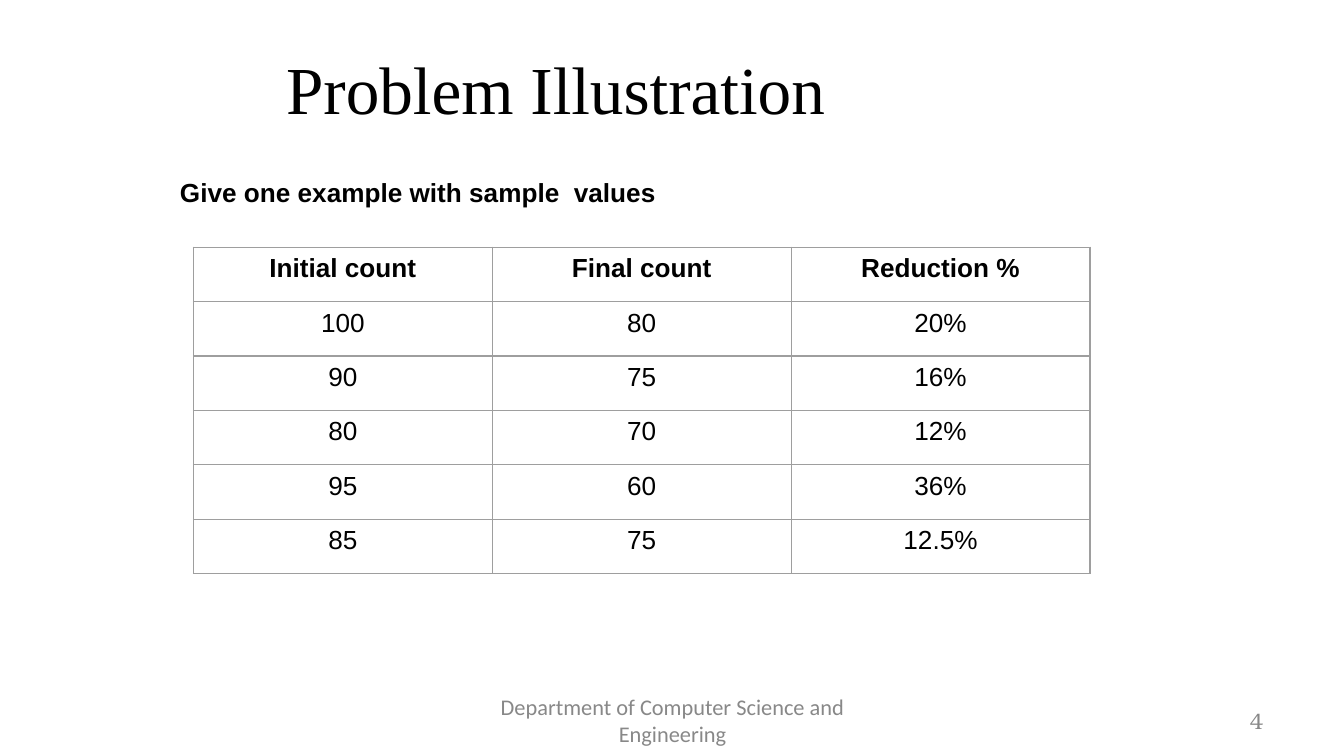
from lxml.etree import SubElement
from pptx import Presentation
from pptx.dml.color import RGBColor
from pptx.enum.text import MSO_ANCHOR as ANCHOR, PP_ALIGN as ALIGN
from pptx.oxml.ns import qn
from pptx.util import Inches, Pt

# Content
TITLE = "Problem Illustration"
LEAD = "Give one example with sample  values"
FOOTER = "Department of Computer Science and Engineering"
PAGE = "4"
ROWS = [
    ("Initial count", "Final count", "Reduction %"),
    ("100", "80", "20%"),
    ("90", "75", "16%"),
    ("80", "70", "12%"),
    ("95", "60", "36%"),
    ("85", "75", "12.5%"),
]
BLACK, GREY, BORDER = "000000", "888888", "9E9E9E"


def color(value):
    return RGBColor.from_string(value)


def write(tf, text, size, font, fill=BLACK, bold=False, align=ALIGN.LEFT):
    p = tf.paragraphs[0]
    p.alignment = align
    r = p.add_run()
    r.text = text
    r.font.size, r.font.name, r.font.bold = Pt(size), font, bold
    r.font.color.rgb = color(fill)


def place(sp, left, top, width, height, anchor=ANCHOR.MIDDLE):
    sp.left, sp.top = Inches(left), Inches(top)
    sp.width, sp.height = Inches(width), Inches(height)
    sp.text_frame.word_wrap = True
    sp.text_frame.vertical_anchor = anchor
    return sp.text_frame


def add_text(box, *args, anchor=ANCHOR.MIDDLE, **kwargs):
    tf = place(s.shapes.add_textbox(0, 0, 0, 0), *box, anchor=anchor)
    write(tf, *args, **kwargs)


def add_borders(cell):
    tc_pr = cell._tc.get_or_add_tcPr()
    for i, side in enumerate(("lnL", "lnR", "lnT", "lnB")):
        ln = SubElement(tc_pr, qn(f"a:{side}"), w=str(Pt(0.75)))
        fill = SubElement(ln, qn("a:solidFill"))
        SubElement(fill, qn("a:srgbClr"), val=BORDER)
        tc_pr.insert(i, ln)


# Widescreen 16:9 slide
prs = Presentation()
prs.slide_width = Inches(10)
prs.slide_height = prs.slide_width * 9 // 16
s = prs.slides.add_slide(prs.slide_layouts[5])

# Title and lead line
tf = place(s.shapes.title, 0.79, 0.31, 6.69, 0.69)
write(tf, TITLE, 36, "Times New Roman", align=ALIGN.CENTER)
add_text((1.24, 1.26, 7.32, 0.57), LEAD, 14, "Arial", bold=True, anchor=ANCHOR.TOP)

# Table of sample values
frame = s.shapes.add_table(len(ROWS), len(ROWS[0]), Inches(1.44), Inches(1.84),
                           Inches(6.67), Inches(2.43))
table = frame.table
table.first_row = table.horz_banding = False
for i, row in enumerate(ROWS):
    for j, text in enumerate(row):
        cell = table.cell(i, j)
        cell.fill.background()
        add_borders(cell)
        write(cell.text_frame, text, 14, "Arial", bold=i == 0, align=ALIGN.CENTER)

# Footer and page number
add_text((3.42, 5.21, 3.17, 0.3), FOOTER, 12, "Calibri", GREY, align=ALIGN.CENTER)
add_text((7.17, 5.21, 2.33, 0.3), PAGE, 12, "TeX Gyre Bonum", GREY, align=ALIGN.RIGHT)

prs.save("out.pptx")
